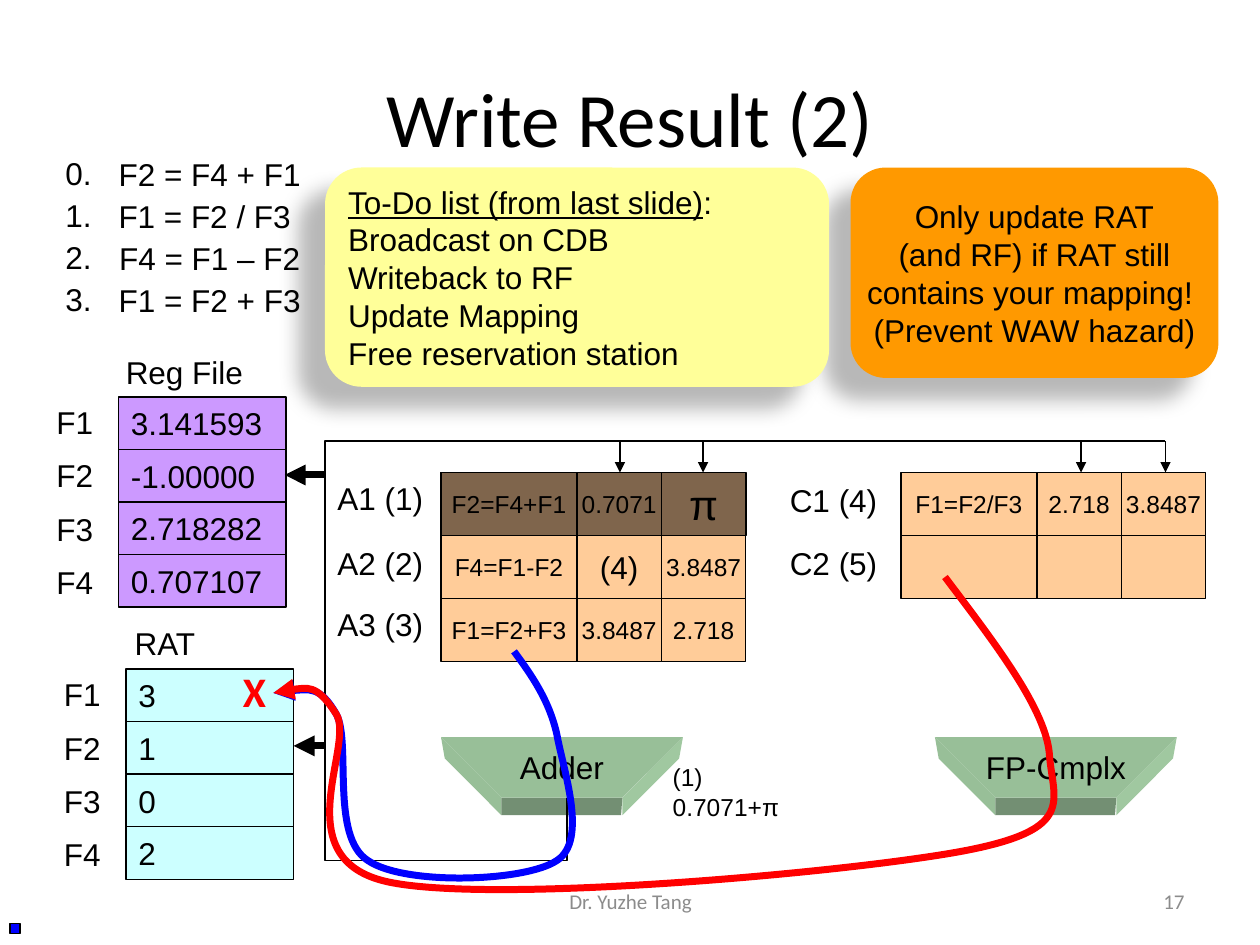
from lxml import etree
from pptx import Presentation
from pptx.dml.color import RGBColor
from pptx.enum.shapes import MSO_CONNECTOR, MSO_SHAPE
from pptx.enum.text import MSO_ANCHOR, PP_ALIGN
from pptx.oxml import parse_xml
from pptx.oxml.ns import nsdecls, qn
from pptx.util import Inches, Pt

LEFT, CENTER, RIGHT = PP_ALIGN.LEFT, PP_ALIGN.CENTER, PP_ALIGN.RIGHT
TOP, MIDDLE = MSO_ANCHOR.TOP, MSO_ANCHOR.MIDDLE
RECTANGLE, ROUNDED = MSO_SHAPE.RECTANGLE, MSO_SHAPE.ROUNDED_RECTANGLE
STRAIGHT = MSO_CONNECTOR.STRAIGHT

BLACK = RGBColor(0x00, 0x00, 0x00)
BLUE = RGBColor(0x00, 0x00, 0xFF)
RED = RGBColor(0xFF, 0x00, 0x00)
GRAY = RGBColor(0x8C, 0x8C, 0x8C)
ORANGE = RGBColor(0xFF, 0x99, 0x00)
YELLOW = RGBColor(0xFF, 0xFF, 0x99)
PEACH = RGBColor(0xFF, 0xCC, 0x99)
PURPLE = RGBColor(0xCC, 0x99, 0xFF)
CYAN = RGBColor(0xCC, 0xFF, 0xFF)
GREEN = RGBColor(0x98, 0xBF, 0x98)
LIGHT_GREEN = RGBColor(0xA0, 0xC8, 0xA0)
DARK_GREEN = RGBColor(0x73, 0x8F, 0x73)


def write_text(shape, text, size=18, align=LEFT, anchor=MIDDLE, color=BLACK, font="Arial"):
    frame = shape.text_frame
    frame.text = text
    frame.word_wrap = align != CENTER
    frame.vertical_anchor = anchor
    for paragraph in frame.paragraphs:
        paragraph.alignment = align
        paragraph.font.size = Pt(size)
        paragraph.font.name = font
        paragraph.font.color.rgb = color


def add_box(kind, left, top, width, height, fill, line=BLACK):
    box = slide.shapes.add_shape(kind, Inches(left), Inches(top), Inches(width), Inches(height))
    box.shadow.inherit = False
    box.fill.solid()
    box.fill.fore_color.rgb = fill
    if line is None:
        box.line.fill.background()
    else:
        box.line.color.rgb = line
        box.line.width = Pt(0.75)
    return box


presentation = Presentation()
presentation.slide_width, presentation.slide_height = Inches(10), Inches(7.5)
slide = presentation.slides.add_slide(presentation.slide_layouts[5])

title = slide.shapes.title
title.left, title.top, title.width, title.height = Inches(0.5), Inches(0.3), Inches(9), Inches(1.25)
write_text(title, "Write Result (2)", 44, CENTER, font="Calibri")

# Callouts with a soft shadow to the lower left
callouts = [
    (6.75, 2.92, 1.67, ORANGE, CENTER,
     "Only update RAT\n(and RF) if RAT still\ncontains your mapping! \v(Prevent WAW hazard)"),
    (2.58, 4, 1.74, YELLOW, LEFT,
     "To-Do list (from last slide)\nBroadcast on CDB\nWriteback to RF\n"
     "Update Mapping\nFree reservation station"),
]
for left, width, height, fill, align, text in callouts:
    callout = add_box(ROUNDED, left, 1.33, width, height, fill, None)
    write_text(callout, text, align=align)
    effects = callout._element.spPr.find(qn("a:effectLst"))
    effects.append(parse_xml(
        f'<a:outerShdw {nsdecls("a")} blurRad="{Pt(11.8)}" dist="{Pt(19.7)}" dir="{141 * 60000}" '
        'algn="ctr" rotWithShape="0"><a:srgbClr val="000000"><a:alpha val="28000"/>'
        '</a:srgbClr></a:outerShdw>'))
heading = callout.text_frame.paragraphs[0]
heading.runs[0].font.underline = True
heading.add_run().text = ":"

# Functional units: front face, two sides and the underside
for left, name in [(3.5, "Adder"), (7.42, "FP-Cmplx")]:
    faces = [
        (GREEN, "", [(0, 5.85), (0.03, 6.02), (0.48, 6.47), (0.48, 6.33)]),
        (LIGHT_GREEN, "", [(1.92, 5.85), (1.89, 6.02), (1.44, 6.47), (1.44, 6.33)]),
        (DARK_GREEN, "", [(0.48, 6.33), (0.48, 6.47), (1.43, 6.47), (1.44, 6.33)]),
        (GREEN, name, [(0, 5.85), (0.48, 6.33), (1.44, 6.33), (1.92, 5.85)]),
    ]
    for fill, text, corners in faces:
        points = [(Inches(left + x), Inches(y)) for x, y in corners]
        builder = slide.shapes.build_freeform(*points[0])
        builder.add_line_segments(points[1:], close=True)
        face = builder.convert_to_shape()
        face.shadow.inherit = False
        face.fill.solid()
        face.fill.fore_color.rgb = fill
        face.line.fill.background()
        if text:
            write_text(face, text, align=CENTER)

# Reservation stations
stations = [
    (3.5, [("F2=F4+F1", "0.7071", "π"), ("F4=F1-F2", "(4)", "3.8487"),
           ("F1=F2+F3", "3.8487", "2.718")]),
    (7.15, [("F1=F2/F3", "2.718", "3.8487"), ("", "", "")]),
]
text_sizes = {"π": 24, "(4)": 18}
for left, rows in stations:
    for row, values in enumerate(rows):
        for offset, width, value in zip((0, 1.08, 1.75), (1.08, 0.67, 0.67), values):
            cell = add_box(RECTANGLE, left + offset, 3.75 + row * 0.5, width, 0.5, PEACH)
            if value:
                write_text(cell, value, text_sizes.get(value, 14), CENTER)
done_shade = add_box(RECTANGLE, 3.5, 3.75, 2.42, 0.5, BLACK)
shade_color = done_shade._element.spPr.find(qn("a:solidFill"))[0]
etree.SubElement(shade_color, qn("a:alpha")).set("val", "50000")

# Register file and register alias table; labels are (left, top, text)
labels = [(0.9, 2.75, "Reg File"), (0.97, 4.9, "RAT"),
          (2.58, 3.75, "A1 (1)"), (2.58, 4.27, "A2 (2)"), (2.58, 4.75, "A3 (3)"),
          (6.17, 3.77, "C1 (4)"), (6.17, 4.27, "C2 (5)")]
registers = [
    (0.94, 3.15, PURPLE, ["3.141593", "-1.00000", "2.718282", "0.707107"]),
    (1, 5.31, CYAN, ["3", "1", "0", "2"]),
]
for left, top, fill, values in registers:
    for row, value in enumerate(values):
        cell = add_box(RECTANGLE, left, top + row * 0.417, 1.33, 0.417, fill)
        write_text(cell, value)
        labels.append((left - 0.59, top + row * 0.423, f"F{row + 1}"))

# Instruction list
instructions = ["F2 = F4 + F1", "F1 = F2 / F3", "F4 = F1 – F2", "F1 = F2 + F3"]
for row, instruction in enumerate(instructions):
    top = 1.17 + row / 3
    labels.append((0.42, top, f"{row}."))
    left = 0.79 if row == 1 else 0.83
    box = slide.shapes.add_textbox(Inches(left), Inches(top), Inches(1.67), Inches(0.42))
    write_text(box, instruction, align=CENTER)

for left, top, text in labels:
    box = slide.shapes.add_textbox(Inches(left), Inches(top), Inches(1.3), Inches(0.4))
    write_text(box, text, anchor=TOP)
result = slide.shapes.add_textbox(Inches(5.24), Inches(6), Inches(1.31), Inches(0.57))
write_text(result, "(1)\n0.7071+π", 14, anchor=TOP)

# Common data bus and mapping curves; curve points are start, then control, control, end
paths = [
    (BLACK, 0.75, [(4.5, 6.33), (4.5, 6.83), (2.58, 6.83), (2.58, 3.5), (9.25, 3.5)]),
    (BLUE, 4, [(4.08, 5.17), (4.22, 5.36), (4.36, 5.56), (4.42, 5.83),
               (4.47, 6.11), (4.67, 6.67), (4.42, 6.83), (4.17, 7), (3.21, 7.03), (2.92, 6.83),
               (2.62, 6.64), (2.79, 5.89), (2.67, 5.67), (2.54, 5.44), (2.35, 5.47), (2.17, 5.5)]),
    (RED, 4, [(7.5, 4.58), (7.9, 5.11), (8.31, 5.64), (8.33, 6),
              (8.36, 6.36), (8.54, 6.58), (7.67, 6.75), (6.79, 6.92), (3.92, 7.18), (3.08, 7),
              (2.25, 6.82), (2.82, 5.92), (2.67, 5.67), (2.51, 5.42), (2.34, 5.46), (2.17, 5.5)]),
]
arrowed = []
for color, weight, places in paths:
    points = [(Inches(x), Inches(y)) for x, y in places]
    builder = slide.shapes.build_freeform(*points[0])
    builder.add_line_segments(points[1:], close=False)
    wire = builder.convert_to_shape()
    wire.shadow.inherit = False
    wire.fill.background()
    wire.line.color.rgb = color
    wire.line.width = Pt(weight)
    if color != BLACK:
        segments = list(wire._element.iter(qn("a:lnTo")))
        outline = segments[0].getparent()
        for start in range(0, len(segments), 3):
            curve = etree.SubElement(outline, qn("a:cubicBezTo"))
            for segment in segments[start:start + 3]:
                curve.append(segment[0])
                outline.remove(segment)
        arrowed.append(wire)

arrows = [(x, 3.5, x, 3.75, 0.75) for x in (4.92, 5.58, 8.58, 9.25)]
arrows += [(2.58, 3.77, 2.26, 3.77, 4), (2.58, 5.92, 2.33, 5.92, 4)]
for x1, y1, x2, y2, weight in arrows:
    arrow = slide.shapes.add_connector(STRAIGHT, Inches(x1), Inches(y1), Inches(x2), Inches(y2))
    arrow.line.color.rgb = BLACK
    arrow.line.width = Pt(weight)
    etree.SubElement(arrow._element.spPr, qn("a:effectLst"))
    arrowed.append(arrow)
for shape in arrowed:
    etree.SubElement(shape.line._get_or_add_ln(), qn("a:tailEnd")).set("type", "triangle")

cross = slide.shapes.add_textbox(Inches(1.83), Inches(5.23), Inches(0.42), Inches(0.5))
write_text(cross, "X", 24, anchor=TOP, color=RED, font="Calibri")
cross.text_frame.paragraphs[0].font.bold = True
add_box(RECTANGLE, 0.08, 7.33, 0.08, 0.08, BLUE)

for left, width, text, align in [(3.42, 3.17, "Dr. Yuzhe Tang", CENTER), (7.17, 2.33, "17", RIGHT)]:
    footer = slide.shapes.add_textbox(Inches(left), Inches(6.95), Inches(width), Inches(0.4))
    write_text(footer, text, 12, align, color=GRAY, font="Calibri")

presentation.save("out.pptx")
